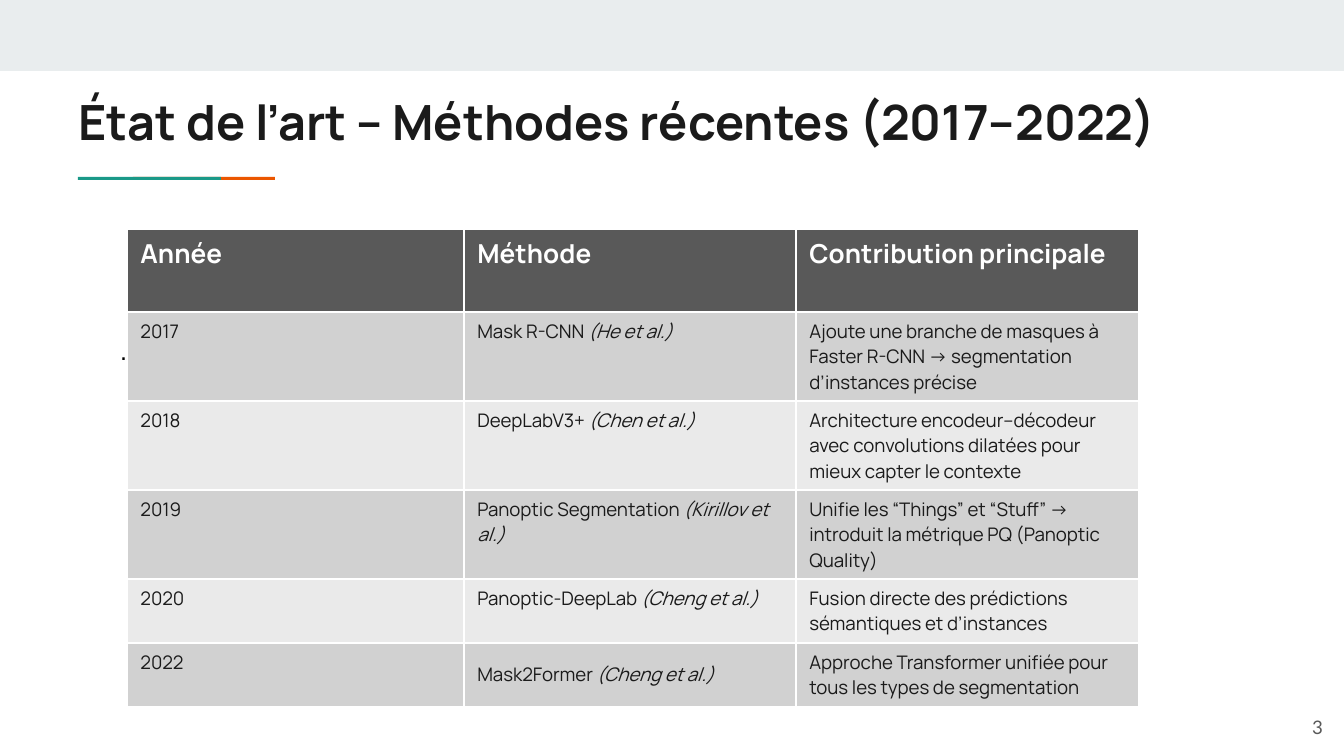
from pptx import Presentation
from pptx import util as u
from pptx.dml.color import RGBColor
from pptx.enum import shapes, text

PX = 914400 / 134.4


def px(*lengths):
    return [u.Emu(round(length * PX)) for length in lengths]


def style(span, size, face, color, bold=False, italic=False):
    font = span.font
    font.size = u.Pt(size)
    font.name = face
    font.color.rgb = RGBColor.from_string(color)
    font.bold = bold
    font.italic = italic


deck = Presentation()
deck.slide_width, deck.slide_height = px(1344, 756)
page = deck.slides.add_slide(deck.slide_layouts[6])

bars = [
    ((0, 0, 1344, 71), "E9EDEE"),
    ((133, 177, 142, 3), "EB5600"),
    ((78, 177, 143, 3), "1A9988"),
]
for place, color in bars:
    bar = page.shapes.add_shape(shapes.MSO_SHAPE.RECTANGLE, *px(*place))
    bar.shadow.inherit = False
    bar.fill.solid()
    bar.fill.fore_color.rgb = RGBColor.from_string(color)
    bar.line.fill.background()

TOP, MIDDLE = text.MSO_ANCHOR.TOP, text.MSO_ANCHOR.MIDDLE
LEFT, RIGHT = text.PP_ALIGN.LEFT, text.PP_ALIGN.RIGHT
labels = [
    ("État de l’art – Méthodes récentes (2017–2022)", (65, 79, 1219, 79),
     26, "Manrope", "1A1A1A", True, TOP, LEFT, 1.0),
    (".", (107, 300, 1130, 332), 13.5, "Arial", "000000", False, TOP, LEFT, 1.72),
    ("3", (1255, 698, 81, 58), 10, "Lato", "595959", False, MIDDLE, RIGHT, 1.0),
]
for words, place, size, face, color, bold, anchor, align, spacing in labels:
    box = page.shapes.add_textbox(*px(*place))
    frame = box.text_frame
    frame.word_wrap = True
    frame.vertical_anchor = anchor
    frame.margin_left = frame.margin_right = u.Inches(0.1)
    frame.margin_top = frame.margin_bottom = u.Inches(0.1)
    frame.text = words
    para = frame.paragraphs[0]
    para.alignment = align
    para.line_spacing = spacing
    style(para.runs[0], size, face, color, bold)

headings = ["Année", "Méthode", "Contribution principale"]
methods = [
    ("2017", "Mask R-CNN ", "(He et al.)",
     "Ajoute une branche de masques à Faster R-CNN → segmentation d’instances précise"),
    ("2018", "DeepLabV3+ ", "(Chen et al.)",
     "Architecture encodeur–décodeur avec convolutions dilatées pour mieux capter le contexte"),
    ("2019", "Panoptic Segmentation ", "(Kirillov et al.)",
     "Unifie les “Things” et “Stuff” → introduit la métrique PQ (Panoptic Quality)"),
    ("2020", "Panoptic-DeepLab ", "(Cheng et al.)",
     "Fusion directe des prédictions sémantiques et d’instances"),
    ("2022", "Mask2Former ", "(Cheng et al.)",
     "Approche Transformer unifiée pour tous les types de segmentation"),
]
rows = [[[heading] for heading in headings]]
rows += [[[year], [method, authors], [gain]] for year, method, authors, gain in methods]
widths = px(337, 332, 343)
heights = px(83, 89, 89, 89, 64, 64)

table = page.shapes.add_table(
    len(rows), len(headings), *px(127, 229), sum(widths), sum(heights)
).table
for column, width in zip(table.columns, widths):
    column.width = width
for r, (row, height) in enumerate(zip(rows, heights)):
    table.rows[r].height = height
    fill = "595959" if r == 0 else "D1D1D1" if r % 2 else "EAEAEA"
    for c, parts in enumerate(row):
        cell = table.cell(r, c)
        cell.fill.solid()
        cell.fill.fore_color.rgb = RGBColor.from_string(fill)
        para = cell.text_frame.paragraphs[0]
        for i, part in enumerate(parts):
            span = para.add_run()
            span.text = part
            if r == 0:
                style(span, 14, "Manrope", "FFFFFF", bold=True)
            else:
                style(span, 10, "Manrope", "1A1A1A", italic=i == 1)
for c in (1, 2):
    table.cell(len(rows) - 1, c).vertical_anchor = MIDDLE

deck.save("out.pptx")
